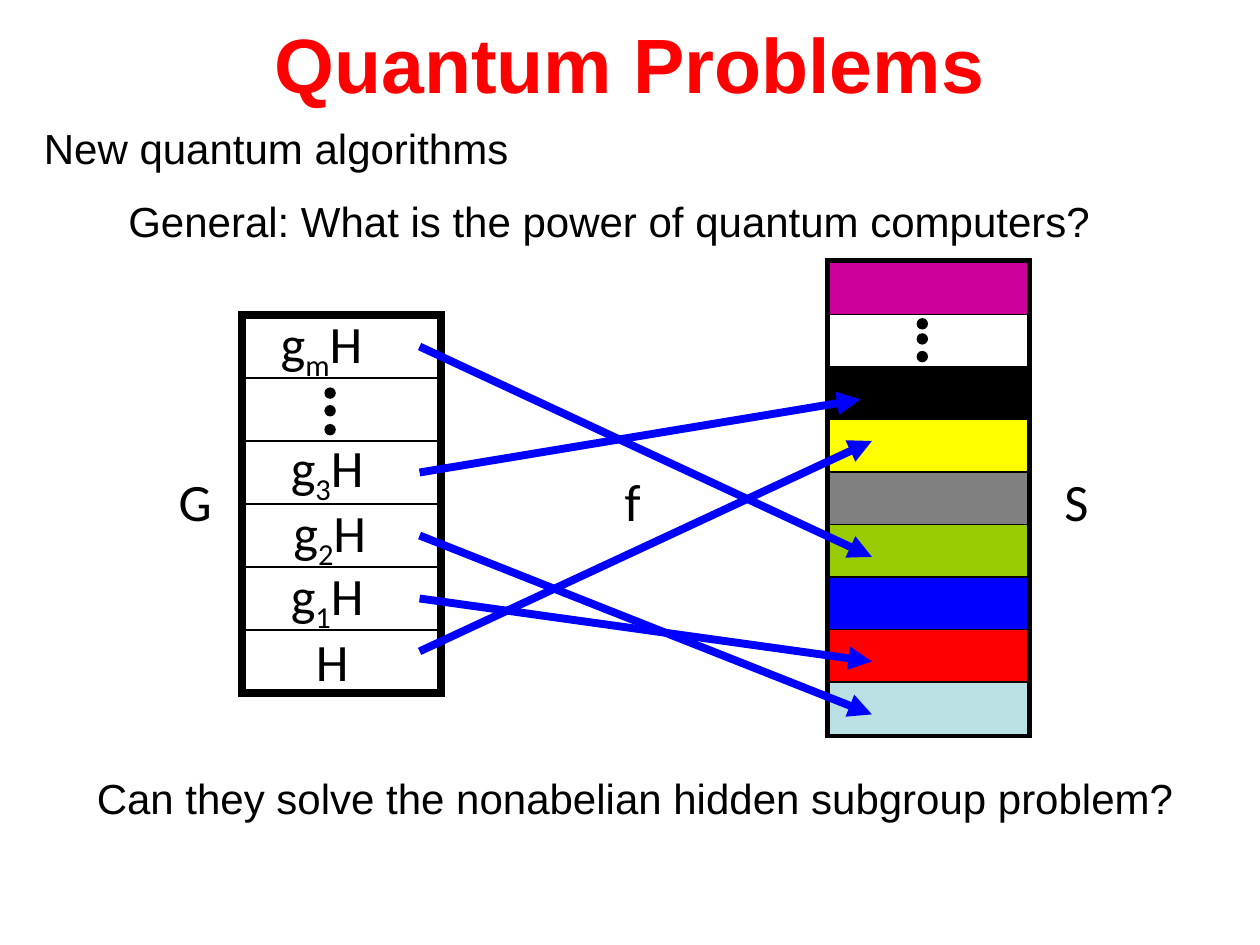
from lxml.etree import SubElement
from pptx import Presentation
from pptx.dml.color import RGBColor
from pptx.enum.shapes import MSO_CONNECTOR, MSO_SHAPE
from pptx.enum.text import MSO_ANCHOR, PP_ALIGN
from pptx.oxml.ns import qn
from pptx.util import Inches, Pt

COLORS = {
    "title": "FF0000", "black": "000000", "arrow": "0000FF",
    "magenta": "CC0099", "white": "FFFFFF", "yellow": "FFFF00",
    "gray": "808080", "green": "99CC00", "blue": "0000FF",
    "red": "FF0000", "pale": "BBE0E3",
}

presentation = Presentation()
presentation.slide_width = Inches(10)
presentation.slide_height = Inches(7.5)
slide = presentation.slides.add_slide(presentation.slide_layouts[5])
shapes = slide.shapes


def add_shape(kind, left, top, width, height, fill, line_width):
    shape = shapes.add_shape(kind, Inches(left), Inches(top), Inches(width), Inches(height))
    shape.shadow.inherit = False
    if fill:
        shape.fill.solid()
        shape.fill.fore_color.rgb = RGBColor.from_string(COLORS[fill])
    else:
        shape.fill.background()
    shape.line.color.rgb = RGBColor.from_string(COLORS["black"])
    shape.line.width = Pt(line_width)
    SubElement(shape.line._get_or_add_ln(), qn("a:miter"), lim="800000")


def add_line(start, end, color, width):
    line = shapes.add_connector(MSO_CONNECTOR.STRAIGHT, *[Inches(value) for value in start + end])
    line.line.color.rgb = RGBColor.from_string(COLORS[color])
    line.line.width = Pt(width)
    SubElement(line._element.spPr, qn("a:effectLst"))
    return line


# Title
title = shapes.title
title.left, title.top = Inches(1.9), Inches(0.08)
title.width, title.height = Inches(6.2), Inches(0.84)
title.text_frame.word_wrap = True
title.text_frame.vertical_anchor = MSO_ANCHOR.TOP
paragraph = title.text_frame.paragraphs[0]
paragraph.alignment = PP_ALIGN.CENTER
run = paragraph.add_run()
run.text = "Quantum Problems"
run.font.name = "Arial"
run.font.size = Pt(44)
run.font.bold = True
run.font.color.rgb = RGBColor.from_string(COLORS["title"])

# Group G, divided into cosets
group_left, group_width, coset_height = 1.92, 1.58, 0.5
add_shape(MSO_SHAPE.RECTANGLE, group_left, 2.5, group_width, 6 * coset_height, None, 4.5)
for row in range(1, 6):
    y = 2.5 + row * coset_height
    add_line((group_left, y), (group_left + group_width, y), "black", 0.75)

# Set S, one colour per value
set_left, set_top, set_width, set_height = 6.58, 2.08, 1.58, 3.75
add_shape(MSO_SHAPE.RECTANGLE, set_left, set_top, set_width, set_height, None, 4.5)
set_values = ["magenta", "white", "black", "yellow", "gray", "green", "blue", "red", "pale"]
value_height = set_height / len(set_values)
for row, color in enumerate(set_values):
    add_shape(MSO_SHAPE.RECTANGLE, set_left, set_top + row * value_height,
              set_width, value_height, color, 0.75)

# Vertical ellipses
for left, tops in [(2.58, (3.08, 3.22, 3.37)), (7.28, (2.53, 2.65, 2.79))]:
    for top in tops:
        add_shape(MSO_SHAPE.OVAL, left, top, 0.08, 0.08, "black", 0.75)

# The function f, from cosets to values
mappings = [
    ((3.33, 5.17), (6.92, 3.5)),
    ((3.33, 4.75), (6.92, 5.25)),
    ((3.33, 4.25), (6.92, 5.67)),
    ((3.33, 3.75), (6.83, 3.17)),
    ((3.33, 2.75), (6.92, 4.42)),
]
for start, end in mappings:
    arrow = add_line(start, end, "arrow", 4.5)
    SubElement(arrow.line._get_or_add_ln(), qn("a:tailEnd"), type="triangle")

# Sentences and labels; the second run of a label is its subscript
texts = [
    (0.25, 0.92, 4.1, 0.5, "Arial", 24, ["New quantum algorithms"]),
    (0.92, 1.5, 8, 0.5, "Arial", 24, ["General: What is the power of quantum computers?"]),
    (0.67, 6.08, 8.9, 0.5, "Arial", 24, ["Can they solve the nonabelian hidden subgroup problem?"]),
    (1.32, 3.67, 0.55, 0.6, "Calibri", 30, ["G"]),
    (4.86, 3.67, 0.4, 0.6, "Calibri", 30, ["f"]),
    (8.35, 3.67, 0.5, 0.6, "Calibri", 30, ["S"]),
    (2.41, 4.94, 0.6, 0.6, "Calibri", 30, ["H"]),
    (2.21, 4.42, 1, 0.67, "Calibri", 30, ["g", "1", "H"]),
    (2.23, 3.92, 1, 0.67, "Calibri", 30, ["g", "2", "H"]),
    (2.21, 3.4, 1, 0.67, "Calibri", 30, ["g", "3", "H"]),
    (2.13, 2.42, 1.1, 0.67, "Calibri", 30, ["g", "m", "H"]),
]
for left, top, width, height, font, size, parts in texts:
    box = shapes.add_textbox(Inches(left), Inches(top), Inches(width), Inches(height))
    box.text_frame.word_wrap = True
    paragraph = box.text_frame.paragraphs[0]
    for index, part in enumerate(parts):
        run = paragraph.add_run()
        run.text = part
        run.font.name = font
        run.font.size = Pt(size)
        run.font.color.rgb = RGBColor.from_string(COLORS["black"])
        if index == 1:
            run.font._element.set("baseline", "-25000")

presentation.save("out.pptx")
